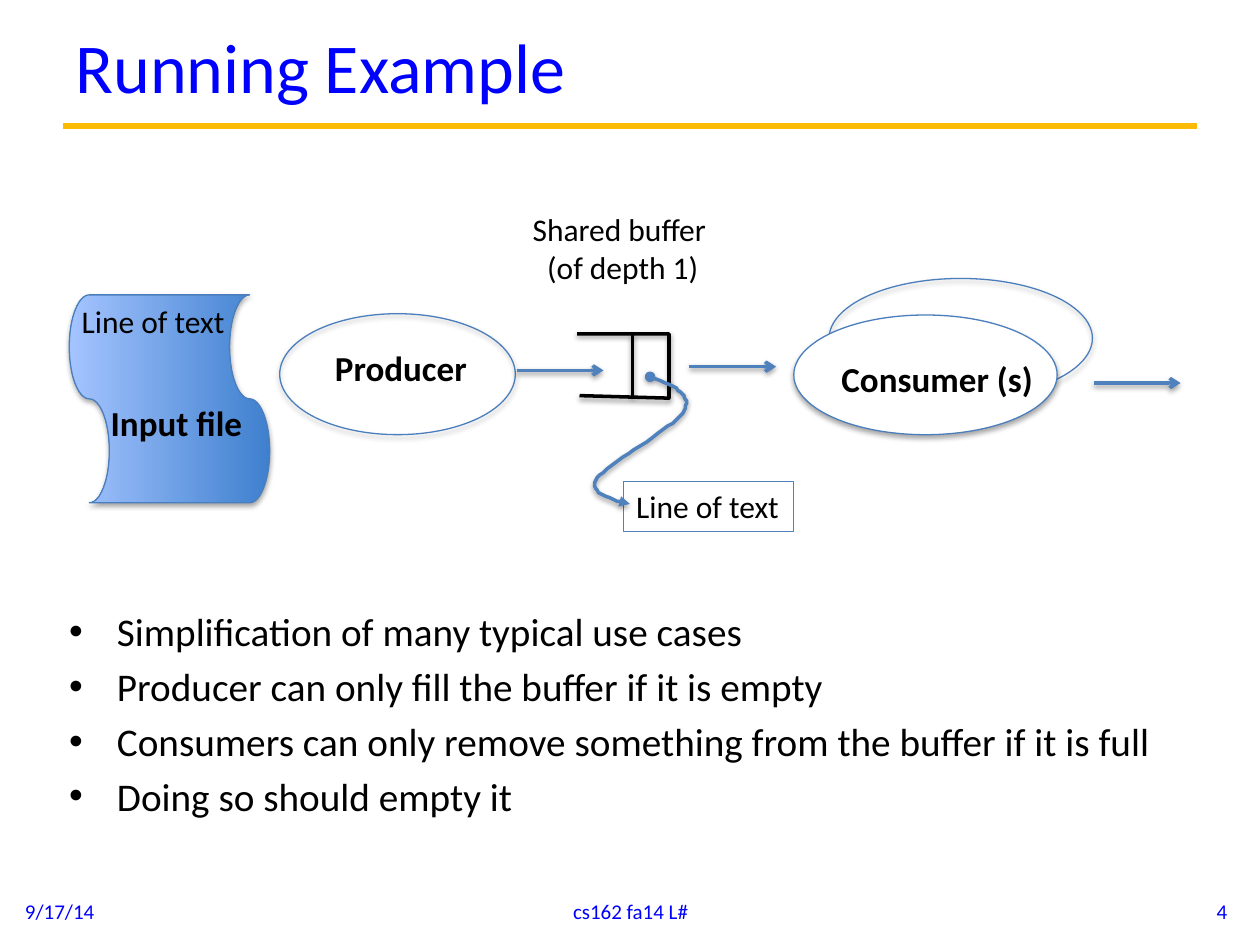
from lxml import etree
from pptx import Presentation
from pptx import util as u
from pptx.dml.color import RGBColor
from pptx.enum import shapes, text
from pptx.oxml import ns

PX = 9144  # EMU per px, 100 px to the inch
FONT = "Calibri"
BLUE, BLACK, WHITE, GOLD = "0000FF", "000000", "FFFFFF", "FBBA03"
OUTLINE, FLOW = "4B7EBC", "4F81BD"
ALIGN = {"l": text.PP_ALIGN.LEFT, "c": text.PP_ALIGN.CENTER, "r": text.PP_ALIGN.RIGHT}


def px(*lengths):
    return [u.Emu(round(n * PX)) for n in lengths]


def color(hex_string):
    return RGBColor.from_string(hex_string)


def add_xml(parent, tag, **attributes):
    values = {key: str(value) for key, value in attributes.items()}
    return etree.SubElement(parent, ns.qn(tag), values)


def style(shape, line, width, fill=None, ends=(), shadow=None):
    """Line, fill, line ends as (tag, type) pairs, shadow as (opacity, distance)."""
    shape.line.color.rgb = color(line)
    shape.line.width = u.Pt(width)
    if hasattr(shape, "fill"):
        if fill:
            shape.fill.solid()
            shape.fill.fore_color.rgb = color(fill)
        else:
            shape.fill.background()
    for tag, kind in ends:
        add_xml(shape.line._get_or_add_ln(), tag, type=kind)
    effects = add_xml(shape._element.spPr, "a:effectLst")
    if shadow:
        opacity, distance = shadow
        outer = add_xml(effects, "a:outerShdw", blurRad=u.Pt(3.1), dist=u.Pt(distance),
                        dir=90 * 60000, rotWithShape=0)
        add_xml(add_xml(outer, "a:srgbClr", val=BLACK), "a:alpha", val=opacity * 1000)
    return shape


def add_text(slide, box, lines, size=18, ink=BLACK, bold=False, align="l",
             middle=False, wrap=True, grow=False, bullet=False):
    label = slide.shapes.add_textbox(*px(*box))
    frame = label.text_frame
    frame.word_wrap = wrap
    if grow:
        frame.auto_size = text.MSO_AUTO_SIZE.SHAPE_TO_FIT_TEXT
    if middle:
        frame.vertical_anchor = text.MSO_ANCHOR.MIDDLE
    frame.text = lines
    for paragraph in frame.paragraphs:
        paragraph.alignment = ALIGN[align]
        font = paragraph.runs[0].font
        font.name, font.size, font.bold = FONT, u.Pt(size), bold
        font.color.rgb = color(ink)
        if bullet:
            paragraph.space_before = u.Pt(size * 0.2)
            properties = paragraph._p.get_or_add_pPr()
            indent = px(38)[0]
            properties.set("marL", str(indent))
            properties.set("indent", str(-indent))
            add_xml(properties, "a:buFont", typeface="Arial")
            add_xml(properties, "a:buChar", char="•")
    return label


def add_line(slide, start, end, **look):
    line = slide.shapes.add_connector(shapes.MSO_CONNECTOR.STRAIGHT, *px(*start, *end))
    return style(line, **look)


def add_flow_arrow(slide, x, y):
    add_line(slide, (x, y), (x + 69, y), line=FLOW, width=2,
             ends=[("a:tailEnd", "arrow")], shadow=(38, 1.6))


def add_oval(slide, box, fill=None):
    oval = slide.shapes.add_shape(shapes.MSO_SHAPE.OVAL, *px(*box))
    style(oval, OUTLINE, 0.75, fill=fill, shadow=(35, 1.8))


def add_path(slide, points, **look):
    builder = slide.shapes.build_freeform(*points[0], scale=PX)
    builder.add_line_segments(points[1:], close=False)
    return style(builder.convert_to_shape(), width=2, shadow=(38, 1.6), **look)


def curve_points(start, *segments, steps=20):
    """Points along joined cubic curves, each given as two controls and an end."""
    points = [start]
    for c1, c2, end in segments:
        for step in range(1, steps + 1):
            t = step / steps
            s = 1 - t
            points.append(tuple(
                s**3 * a + 3 * s * s * t * b + 3 * s * t * t * c + t**3 * d
                for a, b, c, d in zip(start, c1, c2, end)))
        start = end
    return points


def add_header(slide, x, y, w, h):
    add_line(slide, (x, y + h), (x + w, y + h), line=GOLD, width=3.75)
    add_text(slide, (x, y, w, h), "Running Example", size=40, ink=BLUE, middle=True)


def add_input_file(slide, x, y):
    tape = slide.shapes.add_shape(shapes.MSO_SHAPE.FLOWCHART_PUNCHED_TAPE,
                                  *px(x, y, 165, 159))
    tape.rotation = 270
    style(tape, OUTLINE, 0.75, shadow=(35, 1.8))
    tape.fill.gradient()
    tape.fill.gradient_angle = 90
    for stop, shade in zip(tape.fill.gradient_stops, ("3F80CE", "A4C4FF")):
        stop.color.rgb = color(shade)
    add_text(slide, (x + 26, y + 77, 125, 44), "Input file", size=20, bold=True,
             wrap=False, grow=True)
    add_text(slide, (x + 3, y - 2, 135, 40), "Line of text", wrap=False, grow=True)


def add_producer(slide, x, y):
    add_oval(slide, (x, y, 187, 96))
    add_text(slide, (x + 34, y + 21, 126, 44), "Producer", size=20, bold=True,
             wrap=False, grow=True)
    add_flow_arrow(slide, x + 188, y + 45)


def add_buffer(slide, x, y):
    add_text(slide, (x - 88, y - 103, 243, 71), "Shared buffer\n (of depth 1)",
             align="c", grow=True)
    # Open-ended queue with one slot
    add_path(slide, [(x, y), (x + 73, y), (x + 73, y + 51), (x + 2, y + 49)], line=BLACK)
    add_line(slide, (x + 44, y), (x + 44, y + 50), line=BLACK, width=2, shadow=(38, 1.6))
    # Content of the slot
    content = add_text(slide, (x + 37, y + 117, 135, 40), "Line of text",
                       wrap=False, grow=True)
    style(content, FLOW, 0.75)
    pointer = curve_points(
        (x + 58, y + 34),
        ((x + 75, y + 40), (x + 92, y + 47), (x + 85, y + 61)),
        ((x + 78, y + 74), (x + 22, y + 104), (x + 15, y + 116)),
        ((x + 7, y + 129), (x + 42, y + 135), (x + 42, y + 135)))
    add_path(slide, pointer, line=FLOW,
             ends=[("a:headEnd", "oval"), ("a:tailEnd", "triangle")])
    add_flow_arrow(slide, x + 89, y + 26)


def add_consumers(slide, x, y):
    add_oval(slide, (x + 28, y, 209, 95))
    add_oval(slide, (x, y + 29, 209, 95), fill=WHITE)
    add_text(slide, (x + 28, y + 58, 173, 44), "Consumer (s)", size=20, bold=True,
             wrap=False, grow=True)
    add_flow_arrow(slide, x + 238, y + 83)


def add_notes_on_use(slide, *box):
    add_text(slide, box, "\n".join([
        "Simplification of many typical use cases",
        "Producer can only fill the buffer if it is empty",
        "Consumers can only remove something from the buffer if it is full",
        "Doing so should empty it",
    ]), size=22.4, bullet=True)


def add_footer(slide, y, h):
    for x, w, words, align in ((10, 233, "9/17/14", "l"),
                               (342, 317, "cs162 fa14 L#", "c"),
                               (751, 233, "4", "r")):
        add_text(slide, (x, y, w, h), words, size=12, ink=BLUE, align=align, middle=True)


def main():
    deck = Presentation()
    deck.slide_width, deck.slide_height = px(1000, 750)
    slide = deck.slides.add_slide(deck.slide_layouts[6])
    add_header(slide, 50, 4, 900, 96)
    add_input_file(slide, 52, 237)
    add_producer(slide, 222, 249)
    add_buffer(slide, 458, 265)
    add_consumers(slide, 630, 221)
    add_notes_on_use(slide, 45, 477, 900, 158)
    add_footer(slide, 703, 40)
    deck.save("out.pptx")


if __name__ == "__main__":
    main()
